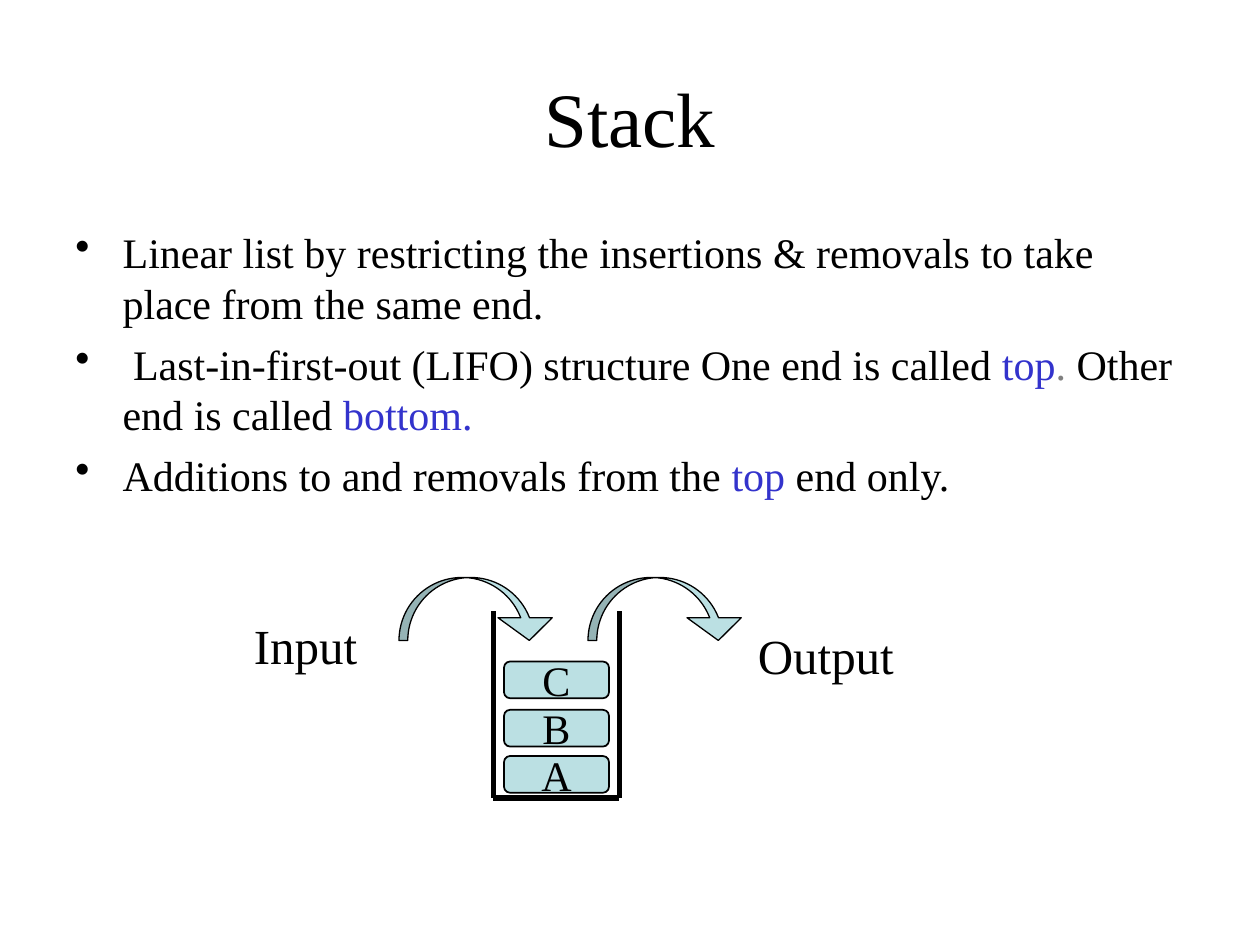
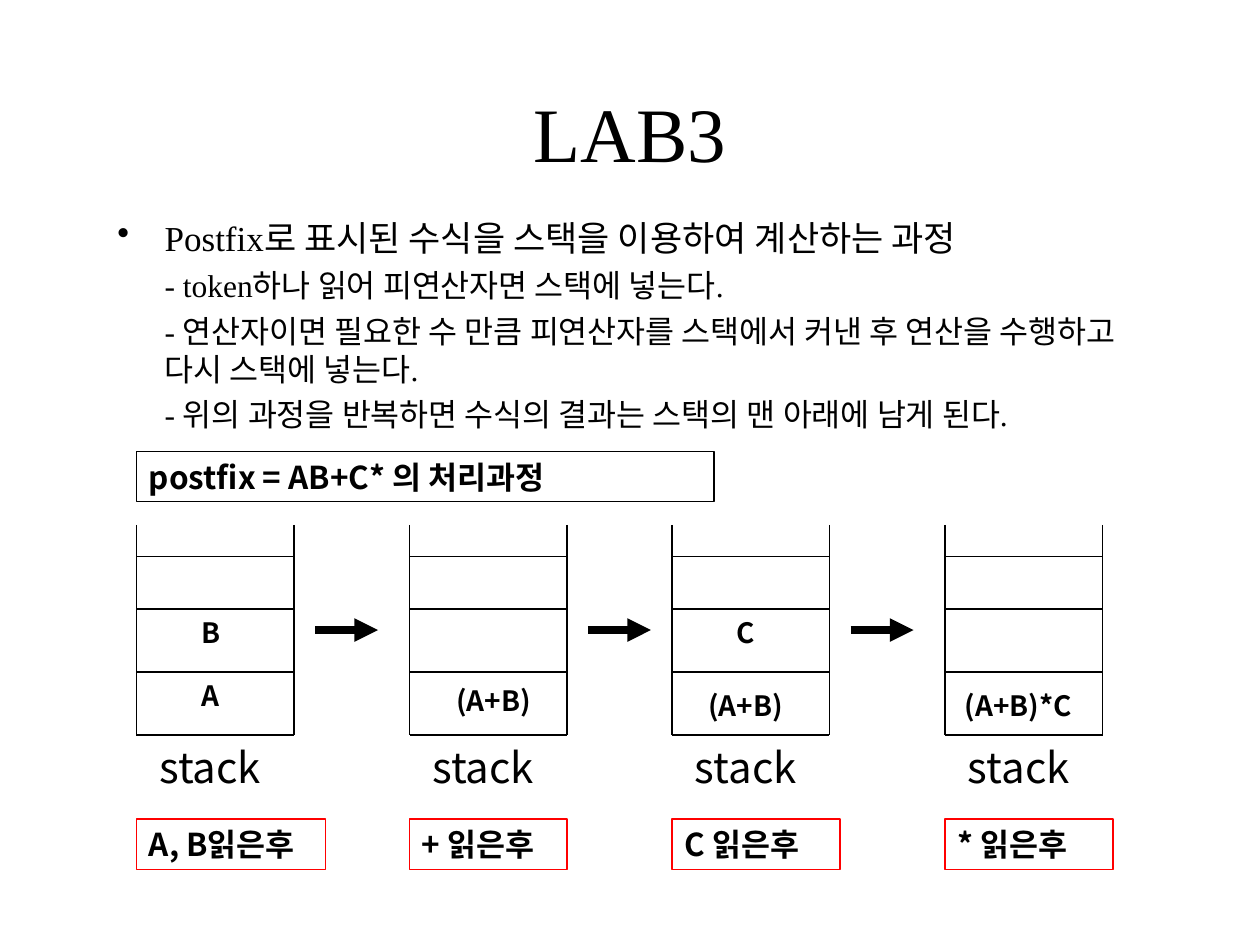
from dataclasses import dataclass

from lxml import etree
from pptx import Presentation
from pptx.dml.color import RGBColor
from pptx.enum.shapes import MSO_CONNECTOR, MSO_SHAPE
from pptx.enum.text import MSO_ANCHOR, MSO_AUTO_SIZE, PP_ALIGN
from pptx.oxml.ns import qn
from pptx.util import Emu, Pt

PX = 7620  # EMU in one px; 120 px make an inch
TITLE_ONLY = 5
STRAIGHT = MSO_CONNECTOR.STRAIGHT
RECT, ROUND_RECT = MSO_SHAPE.RECTANGLE, MSO_SHAPE.ROUNDED_RECTANGLE
CURVED_ARROW = MSO_SHAPE.CURVED_DOWN_ARROW
LEFT, CENTER = PP_ALIGN.LEFT, PP_ALIGN.CENTER
TOP, MIDDLE = MSO_ANCHOR.TOP, MSO_ANCHOR.MIDDLE
GROW, FIXED = MSO_AUTO_SIZE.SHAPE_TO_FIT_TEXT, MSO_AUTO_SIZE.NONE


@dataclass(frozen=True)
class Theme:
    serif: str = "Times New Roman"
    sans: str = "Noto Sans CJK KR"
    ink: str = "000000"
    accent: str = "3333CC"
    muted: str = "808080"
    node: str = "BBE0E3"
    alert: str = "FF0000"
    title: int = 44
    label: int = 28
    large: int = 24
    body: int = 20
    small: int = 18
    cell: int = 16
    hair: float = 0.75
    thin: int = 1
    wall: int = 3
    arrow: float = 4.5


T = Theme()


def px(*lengths):
    return [Emu(n * PX) for n in lengths]


def rgb(code):
    return RGBColor.from_string(code)


def apply(target, formats):
    for name, value in formats.items():
        setattr(target, name, value)


class Deck:
    """Holds the theme, the presentation and the slide being built."""

    def __init__(self, theme):
        self.t = theme
        self.prs = Presentation()
        self.prs.slide_width, self.prs.slide_height = px(1200, 900)
        self.s = None

    def slide(self, title, x, y, w, h):
        self.s = self.prs.slides.add_slide(self.prs.slide_layouts[TITLE_ONLY])
        sp = self.s.shapes.title
        apply(sp, dict(zip(("left", "top", "width", "height"), px(x, y, w, h))))
        p = self.frame(sp, MIDDLE).paragraphs[0]
        p.alignment = CENTER
        self.run(p, title, self.t.title)

    def frame(self, sp, anchor=TOP, wrap=True, size=FIXED):
        mx, my = px(12, 6)
        tf = sp.text_frame
        apply(tf, {"margin_left": mx, "margin_right": mx,
                   "margin_top": my, "margin_bottom": my,
                   "word_wrap": wrap, "vertical_anchor": anchor, "auto_size": size})
        return tf

    def run(self, p, text, size, color=None, font=None, bold=False):
        r = p.add_run()
        r.text = text
        apply(r.font, {"size": Pt(size), "name": font or self.t.serif, "bold": bold})
        r.font.color.rgb = rgb(color or self.t.ink)
        ea = etree.Element(qn("a:ea"), typeface=self.t.sans)
        r.font._element.find(qn("a:latin")).addnext(ea)

    def text(self, text, x, y, w, h, size, align=LEFT, **style):
        sp = self.s.shapes.add_textbox(*px(x, y, w, h))
        p = self.frame(sp, size=GROW).paragraphs[0]
        p.alignment = align
        self.run(p, text, size, **style)

    def paragraphs(self, items, x, y, w, h):
        """Each item is (bulleted, size, space before, [(text, colour), ...])."""
        tf = self.frame(self.s.shapes.add_textbox(*px(x, y, w, h)))
        indent = 45 * PX
        for i, (bulleted, size, before, runs) in enumerate(items):
            p = tf.add_paragraph() if i else tf.paragraphs[0]
            p.space_before = Pt(before)
            for text, color in runs:
                self.run(p, text, size, color)
            pPr = p._p.get_or_add_pPr()
            pPr.set("marL", str(indent))
            pPr.set("indent", str(-indent if bulleted else 0))
            if bulleted:
                etree.SubElement(pPr, qn("a:buChar"), char="•")

    def shape(self, kind, x, y, w, h, line, weight, fill=None, adjust=()):
        sp = self.s.shapes.add_shape(kind, *px(x, y, w, h))
        sp.shadow.inherit = False
        sp.line.color.rgb, sp.line.width = rgb(line), Pt(weight)
        if fill:
            sp.fill.solid()
            sp.fill.fore_color.rgb = rgb(fill)
        else:
            sp.fill.background()
        for i, value in enumerate(adjust):
            sp.adjustments[i] = value
        return sp

    def node(self, text, x, y, w, h):
        sp = self.shape(ROUND_RECT, x, y, w, h, self.t.ink, self.t.thin, self.t.node)
        p = self.frame(sp, MIDDLE, wrap=False).paragraphs[0]
        p.alignment = CENTER
        self.run(p, text, self.t.large)

    def tag(self, text, x, y, w, line):
        sp = self.shape(RECT, x, y, w, 48, line, self.t.hair)
        p = self.frame(sp, size=GROW).paragraphs[0]
        p.alignment = LEFT
        self.run(p, text, self.t.small, font=self.t.sans, bold=True)

    def hop(self, x, y):
        self.shape(CURVED_ARROW, x, y, 150, 60, self.t.ink, self.t.hair,
                   self.t.node, (0.14, 0.86, 0.36))

    def line(self, x1, y1, x2, y2, weight, arrow=False):
        c = self.s.shapes.add_connector(STRAIGHT, *px(x1, y1, x2, y2))
        c.line.color.rgb, c.line.width = rgb(self.t.ink), Pt(weight)
        if arrow:
            etree.SubElement(c.line._get_or_add_ln(), qn("a:tailEnd"), type="triangle")
        etree.SubElement(c._element.spPr, qn("a:effectLst"))

    def bin(self, left, right, top, bottom, weight, shelves=()):
        """Open-topped container with optional inner shelves."""
        for x in (left, right):
            self.line(x, top, x, bottom, weight)
        for y in (bottom, *shelves):
            self.line(left, y, right, y, weight)


def build_stack(d):
    d.slide("Stack", 60, 36, 1080, 150)
    points = [
        [("Linear list by restricting the insertions & removals to take place "
          "from the same end.", T.ink)],
        [(" Last-in-first-out (LIFO) structure One end is called ", T.ink),
         ("top", T.accent), (". ", T.muted), ("Other end is called ", T.ink),
         ("bottom.", T.accent)],
        [("Additions to and removals from the ", T.ink), ("top ", T.accent),
         ("end only.", T.ink)],
    ]
    d.paragraphs([(True, T.large, 6, runs) for runs in points], 60, 210, 1080, 594)
    d.bin(470, 590, 582, 760, T.wall)
    for name, y in zip("CBA", (630, 676, 720)):
        d.node(name, 480, y, 100, 35)
    for x in (380, 560):
        d.hop(x, 550)
    for name, x, y in (("Input", 230, 580), ("Output", 710, 590)):
        d.text(name, x, y, 160, 68, T.label)


def build_lab(d):
    d.slide("LAB3", 90, 50, 1020, 150)
    steps = [
        "- token하나 읽어 피연산자면 스택에 넣는다.",
        "- 연산자이면 필요한 수 만큼 피연산자를 스택에서 커낸 후 연산을 수행하고 "
        "다시 스택에 넣는다.",
        "- 위의 과정을 반복하면 수식의 결과는 스택의 맨 아래에 남게 된다.",
    ]
    heading = "Postfix로 표시된 수식을 스택을 이용하여 계산하는 과정"
    d.paragraphs([(True, T.body, 5, [(heading, T.ink)])]
                 + [(False, T.small, 4.5, [(step, T.ink)]) for step in steps],
                 100, 200, 1020, 240)
    d.tag("postfix = AB+C* 의 처리과정", 130, 430, 550, T.ink)

    # left edge, tag, tag width, cells as (text, offset, top, width, alignment)
    stages = [
        (130, "A, B읽은후", 180, [("A", 50, 640, 70, LEFT), ("B", 50, 580, 70, LEFT)]),
        (390, "+ 읽은후", 150, [("(A+B)", 10, 645, 140, CENTER)]),
        (640, "C 읽은후", 160, [("C", 50, 580, 70, LEFT), ("(A+B)", 0, 650, 140, CENTER)]),
        (900, "* 읽은후", 160, [("(A+B)*C", 0, 650, 140, CENTER)]),
    ]
    for left, tag, tag_width, cells in stages:
        d.bin(left, left + 150, 500, 700, T.hair, (640, 580, 530))
        for text, offset, top, width, align in cells:
            d.text(text, left + offset, top, width, 44, T.cell, align,
                   font=T.sans, bold=True)
        d.text("stack", left + 10, 700, 130, 60, T.large, font=T.sans)
        d.tag(tag, left, 780, tag_width, T.alert)
    for left, *_ in stages[:-1]:
        d.line(left + 170, 600, left + 230, 600, T.arrow, arrow=True)


def main():
    d = Deck(T)
    build_stack(d)
    build_lab(d)
    d.prs.save("out.pptx")


if __name__ == "__main__":
    main()
